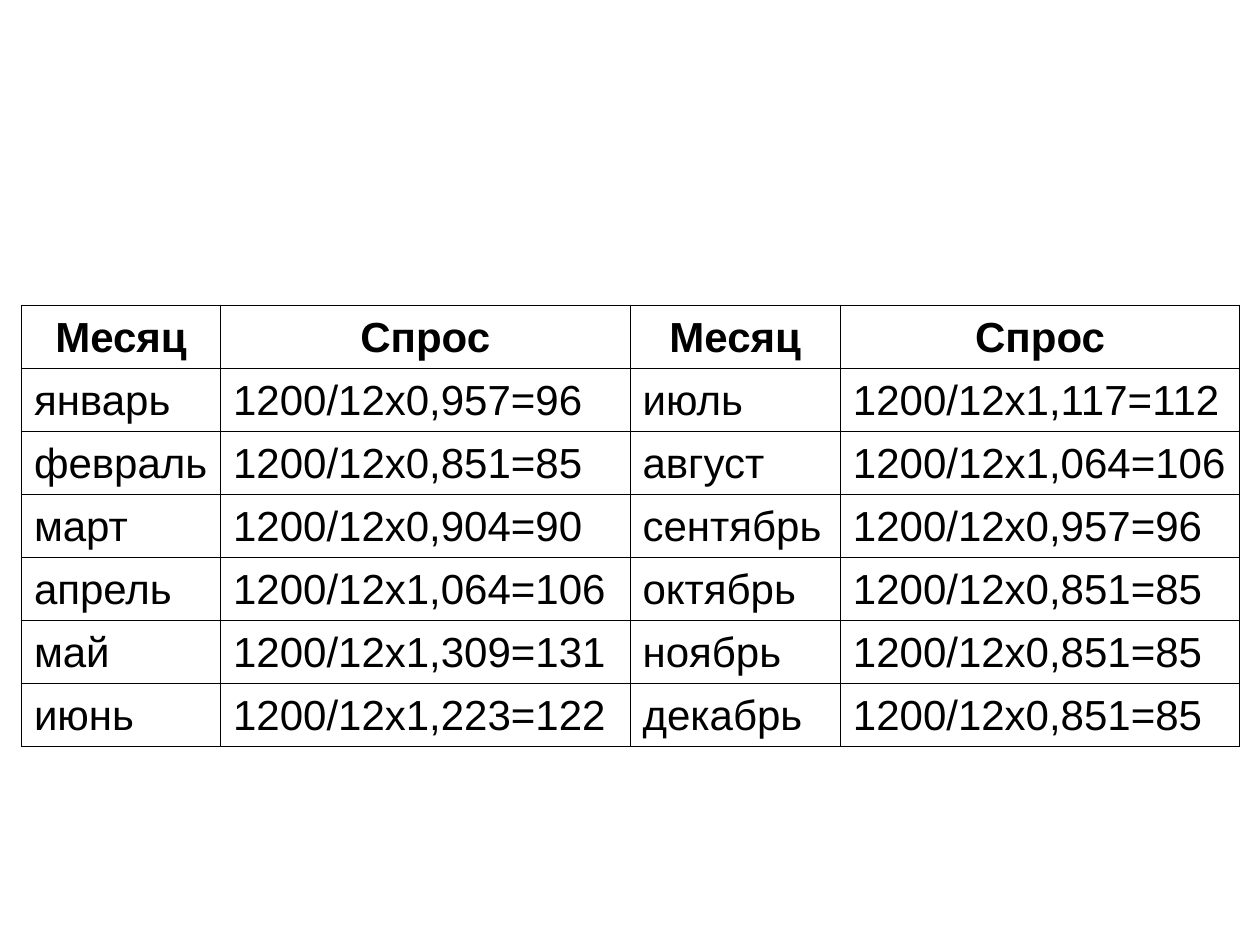
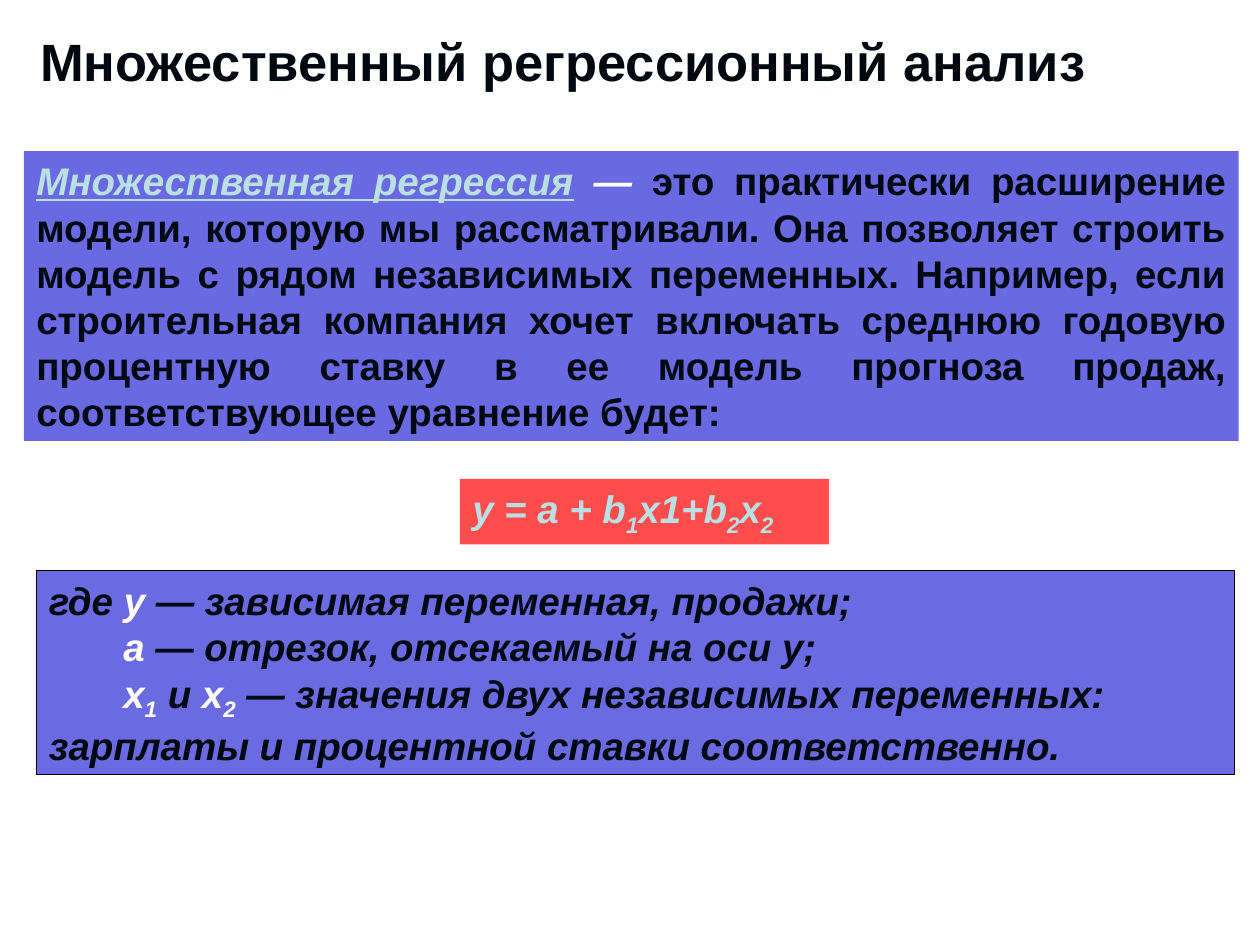
from lxml.etree import SubElement
from pptx import Presentation
from pptx.dml.color import RGBColor
from pptx.enum.shapes import MSO_SHAPE
from pptx.enum.text import MSO_ANCHOR, PP_ALIGN
from pptx.oxml.ns import qn
from pptx.util import Inches, Pt

C = {"black": "000000", "ink": "000810", "white": "FFFFFF", "pale": "BBE0E3",
     "blue": "0000CC", "red": "FF0000"}
FONT = "Arial"

prs = Presentation()
prs.slide_width, prs.slide_height = Inches(10), Inches(7.5)
blank = prs.slide_layouts[6]


def add_run(p, text, size, color, bold=True, italic=False, underline=False, sub=False):
    r = p.add_run()
    r.text = text
    f = r.font
    f.name, f.size, f.bold, f.italic, f.underline = FONT, Pt(size), bold, italic, underline
    f.color.rgb = RGBColor.from_string(C[color])
    if sub:
        r._r.get_or_add_rPr().set("baseline", "-25000")


def add_panel(s, box, color, opacity):
    sp = s.shapes.add_shape(MSO_SHAPE.RECTANGLE, *map(Inches, box))
    sp.shadow.inherit = False
    sp.fill.solid()
    sp.fill.fore_color.rgb = RGBColor.from_string(C[color])
    clr = sp.fill._xPr.find(qn("a:solidFill"))[0]
    SubElement(clr, qn("a:alpha")).set("val", str(opacity * 1000))
    sp.line.fill.background()
    sp.text_frame.word_wrap = True
    sp.text_frame.vertical_anchor = MSO_ANCHOR.MIDDLE
    return sp


# Slide 1: monthly demand table
s = prs.slides.add_slide(blank)
months = ["январь", "февраль", "март", "апрель", "май", "июнь",
          "июль", "август", "сентябрь", "октябрь", "ноябрь", "декабрь"]
demand = ["0,957=96", "0,851=85", "0,904=90", "1,064=106", "1,309=131", "1,223=122",
          "1,117=112", "1,064=106", "0,957=96", "0,851=85", "0,851=85", "0,851=85"]
entries = [(m, "1200/12х" + d) for m, d in zip(months, demand)]
rows = [("Месяц", "Спрос") * 2] + [a + b for a, b in zip(entries[:6], entries[6:])]
widths = [1.58, 3.25, 1.67, 3.17]
row_h = 0.5

gf = s.shapes.add_table(len(rows), len(widths), Inches(0.17), Inches(2.42),
                        Inches(sum(widths)), Inches(row_h * len(rows)))
tbl = gf.table
tbl.first_row = tbl.horz_banding = False
for col, w in zip(tbl.columns, widths):
    col.width = Inches(w)
for i, row in enumerate(rows):
    tbl.rows[i].height = Inches(row_h)
    for j, text in enumerate(row):
        cell = tbl.cell(i, j)
        cell.vertical_anchor = MSO_ANCHOR.BOTTOM
        p = cell.text_frame.paragraphs[0]
        p.alignment = PP_ALIGN.CENTER if i == 0 else PP_ALIGN.LEFT
        add_run(p, text, 24, "black", bold=i == 0)
        # Thin border on every side, then no fill
        tcPr = cell._tc.get_or_add_tcPr()
        for side in ("a:lnL", "a:lnR", "a:lnT", "a:lnB"):
            ln = SubElement(tcPr, qn(side), w=str(Pt(0.45)))
            SubElement(SubElement(ln, qn("a:solidFill")), qn("a:srgbClr"), val=C["black"])
        cell.fill.background()

# Slide 2: title
s = prs.slides.add_slide(blank)
tb = s.shapes.add_textbox(*map(Inches, (0.18, 0.18, 8.58, 0.6)))
tb.text_frame.word_wrap = True
p = tb.text_frame.paragraphs[0]
p.alignment = PP_ALIGN.CENTER
p.space_before = Pt(18.7)
add_run(p, "Множественный регрессионный анализ", 30, "ink")

# Definition
sp = add_panel(s, (0.19, 1.2, 9.64, 2.3), "blue", 59)
p = sp.text_frame.paragraphs[0]
p.alignment = PP_ALIGN.JUSTIFY
add_run(p, "Множественная регрессия", 22, "pale", italic=True, underline=True)
add_run(p, " — ", 22, "white", italic=True)
add_run(p, "это практически расширение модели, которую мы рассматривали. "
           "Она позволяет строить модель с рядом независимых переменных. "
           "Например, если строительная компания хочет включать среднюю годовую "
           "процентную ставку в ее модель прогноза продаж, "
           "соответствующее уравнение будет:", 22, "ink")

# Equation
sp = add_panel(s, (3.65, 3.8, 2.93, 0.52), "red", 70)
p = sp.text_frame.paragraphs[0]
p.alignment = PP_ALIGN.LEFT
for k, text in enumerate(["у = а + b", "1", "x1+b", "2", "x", "2"]):
    add_run(p, text, 22, "pale", italic=True, sub=k % 2 == 1)

# Legend of variables: (text, colour, subscript)
legend = [
    [("где ", "ink", False), ("у", "white", False),
     (" — зависимая переменная, продажи;", "ink", False)],
    [("а", "white", False), (" — отрезок, отсекаемый на оси у;", "ink", False)],
    [("x", "white", False), ("1", "white", True), (" и ", "ink", False),
     ("x", "white", False), ("2", "white", True),
     (" — значения двух независимых переменных: "
      "зарплаты и процентной ставки соответственно.", "ink", False)],
]
sp = add_panel(s, (0.29, 4.53, 9.51, 1.62), "blue", 58)
sp.line.color.rgb = RGBColor.from_string(C["black"])
sp.line.width = Pt(0.75)
tf = sp.text_frame
for k, parts in enumerate(legend):
    p = tf.add_paragraph() if k else tf.paragraphs[0]
    p.alignment = PP_ALIGN.LEFT
    if k:
        pPr = p._p.get_or_add_pPr()
        pPr.set("marL", "0")
        pPr.set("indent", str(Inches(0.59)))
    for text, color, sub in parts:
        add_run(p, text, 22, color, italic=True, sub=sub)

prs.save("out.pptx")
